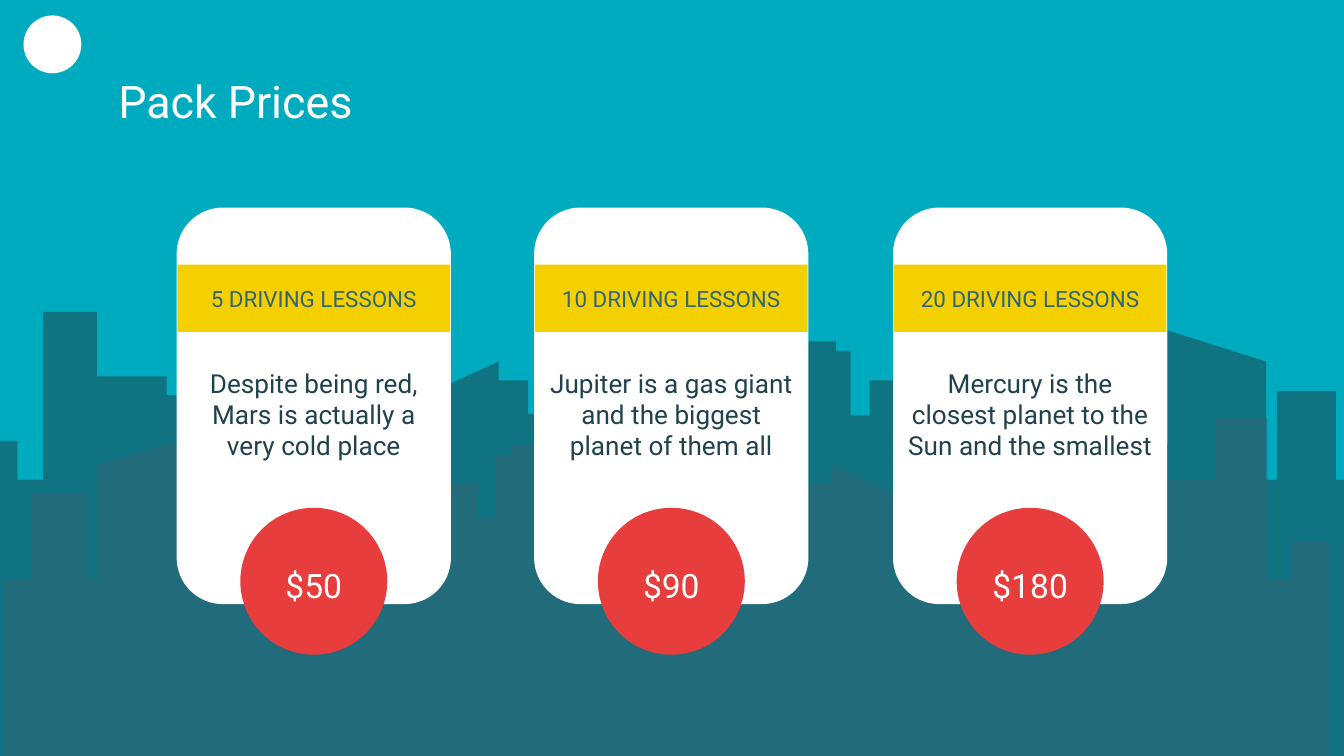
from lxml.etree import SubElement
from pptx import Presentation
from pptx.dml.color import RGBColor
from pptx.enum.shapes import MSO_SHAPE
from pptx.enum.text import MSO_ANCHOR, PP_ALIGN
from pptx.oxml.ns import qn
from pptx.util import Pt

PX = 9144  # EMU per px, 100 px to the inch
FONT = "Roboto"
COLORS = {
    "sky": "00ABBF",
    "dark": "1F424C",
    "slate": "336574",
    "white": "FFFFFF",
    "yellow": "F4D000",
    "red": "E83D3D",
}

# Roofs from left to right: start x, roof y, and the y at the far end if sloped
BACK_ROOFS = [
    (-16, 328), (13, 357), (32, 232), (72, 280), (124, 294), (157, 331),
    (176, 246), (249, 357), (257, 291), (301, 357), (323, 291, 269),
    (371, 283), (393, 308), (401, 372), (426, 261), (445, 246), (504, 379),
    (555, 254), (622, 261), (633, 309), (647, 283), (677, 328), (705, 299),
    (725, 232), (765, 280), (817, 294), (850, 331), (869, 246, 269),
    (942, 357), (950, 291), (994, 357),
]
FRONT_ROOFS = [
    (3, 431), (24, 367), (66, 431), (73, 346, 325), (144, 406), (161, 371),
    (193, 357), (242, 311), (281, 376), (300, 403), (327, 360), (355, 385),
    (369, 339), (380, 332), (443, 452), (492, 325), (549, 339), (566, 445),
    (590, 384), (598, 360), (619, 346, 367), (665, 431), (686, 367),
    (729, 431), (736, 325), (806, 406), (824, 371), (855, 357), (905, 311),
    (943, 431), (961, 403),
]
PACKS = [
    ("5 DRIVING LESSONS", "Despite being red, Mars is actually a very cold place", "$50"),
    ("10 DRIVING LESSONS", "Jupiter is a gas giant and the biggest planet of them all", "$90"),
    ("20 DRIVING LESSONS", "Mercury is the closest planet to the Sun and the smallest", "$180"),
]


def rgb(color):
    return RGBColor.from_string(COLORS[color])


def emu(*lengths):
    return [length * PX for length in lengths]


def set_text(sp, text, size, color, align=PP_ALIGN.CENTER, anchor=MSO_ANCHOR.MIDDLE):
    tf = sp.text_frame
    tf.word_wrap = True
    tf.vertical_anchor = anchor
    tf.margin_left = tf.margin_right = tf.margin_top = tf.margin_bottom = 10 * PX
    p = tf.paragraphs[0]
    p.text = text
    p.alignment = align
    p.font.name = FONT
    p.font.size = Pt(size)
    p.font.color.rgb = rgb(color)


def add_text(s, box, *args, **kwargs):
    set_text(s.shapes.add_textbox(*emu(*box)), *args, **kwargs)


def add_shape(s, kind, box, color, line_width=0):
    sp = s.shapes.add_shape(kind, *emu(*box))
    sp.shadow.inherit = False
    sp.fill.solid()
    sp.fill.fore_color.rgb = rgb(color)
    if line_width:
        sp.line.color.rgb = rgb(color)
        sp.line.width = Pt(line_width)
    else:
        sp.line.fill.background()
    return sp


def add_skyline(s, roofs, right, bottom, color):
    """Draw one translucent row of buildings, each roof reaching to the next start."""
    points = []
    ends = [roof[0] for roof in roofs[1:]] + [right]
    for roof, end in zip(roofs, ends):
        points += [(roof[0], roof[1]), (end, roof[-1])]
    points += [(right, bottom)]
    builder = s.shapes.build_freeform(roofs[0][0], bottom, scale=PX)
    builder.add_line_segments(points, close=True)
    sp = builder.convert_to_shape()
    sp.shadow.inherit = False
    sp.fill.solid()
    sp.fill.fore_color.rgb = rgb(color)
    sp.line.fill.background()
    clr = sp.fill._xPr.find(qn("a:solidFill"))[0]
    SubElement(clr, qn("a:alpha"), val="53000")


def add_title(s, box, text):
    title = s.shapes.title
    title.left, title.top, title.width, title.height = emu(*box)
    set_text(title, text, 24, "white", PP_ALIGN.LEFT)


def add_pack(s, box, lessons, description, price):
    x, y, w, h = box
    card = add_shape(s, MSO_SHAPE.ROUNDED_RECTANGLE, box, "white", 0.75)
    card.adjustments[0] = 0.167
    add_shape(s, MSO_SHAPE.OVAL, (x + 51, y + 227, 101, 101), "red", 6)
    band = add_shape(s, MSO_SHAPE.RECTANGLE, (x, y + 42, w, 50), "yellow")
    set_text(band, lessons, 12, "slate")
    add_text(s, (x, y + 108, w, 111), description, 14, "dark", anchor=MSO_ANCHOR.TOP)
    add_text(s, (x + 41, y + 245, 121, 71), price, 18, "white")


def add_packs(s, box, card_width):
    """Spread the cards evenly across the box."""
    x, y, w, h = box
    for i, pack in enumerate(PACKS):
        left = x + i * (w - card_width) // (len(PACKS) - 1)
        add_pack(s, (left, y, card_width, h), *pack)


def main():
    prs = Presentation()
    prs.slide_width, prs.slide_height = 1000 * PX, 5143500
    s = prs.slides.add_slide(prs.slide_layouts[5])
    s.background.fill.solid()
    s.background.fill.fore_color.rgb = rgb("sky")
    add_skyline(s, BACK_ROOFS, 1016, 563, "dark")
    add_skyline(s, FRONT_ROOFS, 989, 588, "slate")
    add_shape(s, MSO_SHAPE.OVAL, (18, 12, 42, 42), "white", 0.75)
    add_title(s, (78, 43, 844, 63), "Pack Prices")
    add_packs(s, (132, 155, 736, 294), 203)
    prs.save("out.pptx")


if __name__ == "__main__":
    main()
